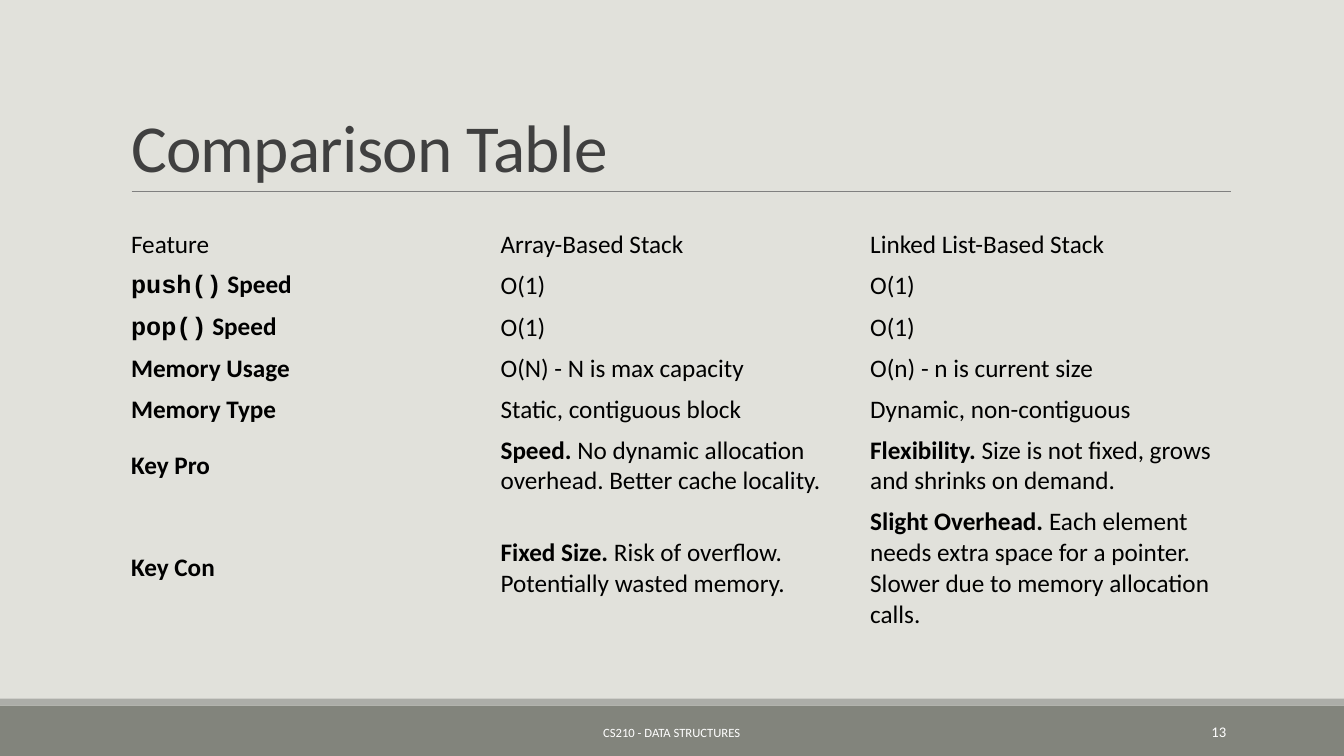
from lxml import etree
from pptx import Presentation
from pptx.dml.color import RGBColor
from pptx.enum.shapes import MSO_CONNECTOR, MSO_SHAPE
from pptx.enum.text import MSO_ANCHOR, MSO_AUTO_SIZE, PP_ALIGN
from pptx.oxml.ns import qn
from pptx.util import Pt

RECTANGLE, STRAIGHT = MSO_SHAPE.RECTANGLE, MSO_CONNECTOR.STRAIGHT
MIDDLE, BOTTOM = MSO_ANCHOR.MIDDLE, MSO_ANCHOR.BOTTOM
LEFT, CENTER, RIGHT = PP_ALIGN.LEFT, PP_ALIGN.CENTER, PP_ALIGN.RIGHT
NO_AUTOSIZE = MSO_AUTO_SIZE.NONE

COLORS = {
    "background": "E1E1DB",
    "footer": "82847C",
    "stripe": "ACADA8",
    "rule": "808080",
    "title": "404040",
    "body": "000000",
    "footer_text": "FFFFFF",
}
BODY_FONT, CODE_FONT = "Calibri", "Courier New"
NO_STYLE_NO_GRID = "{2D5ABB26-0587-4C30-8999-92F81FD0307C}"
SLIDE_WIDTH, SLIDE_HEIGHT = 960, 540
MARGIN, CONTENT_WIDTH = 86.4, 792
ROW_HEIGHTS = [29.2] * 5 + [51.2, 95.2]

HEADINGS = ["Feature", "Array-Based Stack", "Linked List-Based Stack"]
COMPARISON = [
    (("push()", " Speed"), ("", "O(1)"), ("", "O(1)")),
    (("pop()", " Speed"), ("", "O(1)"), ("", "O(1)")),
    (("", "Memory Usage"), ("", "O(N) - N is max capacity"),
     ("", "O(n) - n is current size")),
    (("", "Memory Type"), ("", "Static, contiguous block"),
     ("", "Dynamic, non-contiguous")),
    (("", "Key Pro"),
     ("Speed.", " No dynamic allocation overhead. Better cache locality."),
     ("Flexibility.", " Size is not fixed, grows and shrinks on demand.")),
    (("", "Key Con"),
     ("Fixed Size.", " Risk of overflow. Potentially wasted memory."),
     ("Slight Overhead.", " Each element needs extra space for a pointer. "
      "Slower due to memory allocation calls.")),
]


def color(key):
    """Return the named colour."""
    return RGBColor.from_string(COLORS[key])


def add_run(paragraph, text, size, color_key, bold=False, font=BODY_FONT):
    """Append a formatted run and return it."""
    run = paragraph.add_run()
    run.text = text
    run.font.name, run.font.size, run.font.bold = font, Pt(size), bold
    run.font.color.rgb = color(color_key)
    return run


def add_band(slide, top, height, color_key):
    """Draw a full-width band."""
    band = slide.shapes.add_shape(
        RECTANGLE, 0, Pt(top), Pt(SLIDE_WIDTH), Pt(height))
    band.shadow.inherit = False
    band.fill.solid()
    band.fill.fore_color.rgb = color(color_key)
    band.line.fill.background()


def add_rule(slide, left, right, y):
    """Draw the thin line under the title."""
    rule = slide.shapes.add_connector(
        STRAIGHT, Pt(left), Pt(y), Pt(right), Pt(y))
    rule.line.color.rgb = color("rule")
    rule.line.width = Pt(0.5)
    etree.SubElement(rule.element.spPr, qn("a:effectLst"))


def set_title(slide, text):
    """Place and format the title placeholder."""
    title = slide.shapes.title
    title.left, title.top = Pt(MARGIN), Pt(22.5)
    title.width, title.height = Pt(CONTENT_WIDTH), Pt(114.3)
    frame = title.text_frame
    frame.auto_size, frame.vertical_anchor = NO_AUTOSIZE, BOTTOM
    paragraph = frame.paragraphs[0]
    paragraph.alignment, paragraph.line_spacing = LEFT, 0.85
    run = add_run(paragraph, text, 48, "title")
    run.font._element.set("spc", "-50")


def add_footer_text(slide, text, left, width, size, alignment):
    """Add a line of text on the footer band."""
    box = slide.shapes.add_textbox(Pt(left), Pt(508.5), Pt(width), Pt(28.8))
    frame = box.text_frame
    frame.word_wrap, frame.vertical_anchor = True, MIDDLE
    paragraph = frame.paragraphs[0]
    paragraph.alignment = alignment
    add_run(paragraph, text, size, "footer_text")


def fill_cell(cell, lead, text, is_label):
    """Write a cell's lead and text; labels have a code lead and bold text."""
    cell.fill.background()
    cell.vertical_anchor = MIDDLE
    paragraph = cell.text_frame.paragraphs[0]
    if lead:
        lead_font = CODE_FONT if is_label else BODY_FONT
        add_run(paragraph, lead, 18, "body", True, lead_font)
    add_run(paragraph, text, 18, "body", is_label)


def add_comparison(slide):
    """Add the borderless comparison table."""
    frame = slide.shapes.add_table(
        len(ROW_HEIGHTS), len(HEADINGS), Pt(MARGIN), Pt(160),
        Pt(CONTENT_WIDTH), Pt(sum(ROW_HEIGHTS)))
    table = frame.table
    table.first_row = table.horz_banding = False
    style_id = frame.element.find(".//" + qn("a:tableStyleId"))
    style_id.text = NO_STYLE_NO_GRID
    for row, height in zip(table.rows, ROW_HEIGHTS):
        row.height = Pt(height)
    for column, heading in enumerate(HEADINGS):
        fill_cell(table.cell(0, column), "", heading, False)
    for row, entries in enumerate(COMPARISON, 1):
        for column, (lead, text) in enumerate(entries):
            fill_cell(table.cell(row, column), lead, text, column == 0)


def main():
    """Build and save the slide."""
    deck = Presentation()
    deck.slide_width, deck.slide_height = Pt(SLIDE_WIDTH), Pt(SLIDE_HEIGHT)
    slide = deck.slides.add_slide(deck.slide_layouts[5])
    slide.background.fill.solid()
    slide.background.fill.fore_color.rgb = color("background")
    add_band(slide, 504, 36, "footer")
    add_band(slide, 499, 5, "stripe")
    add_rule(slide, 94, 879, 136.8)
    set_title(slide, "Comparison Table")
    add_comparison(slide)
    add_footer_text(slide, "CS210 - DATA STRUCTURES", 290, 379.5, 9, CENTER)
    add_footer_text(slide, "13", 780, 103, 10.5, RIGHT)
    deck.save("out.pptx")


if __name__ == "__main__":
    main()
